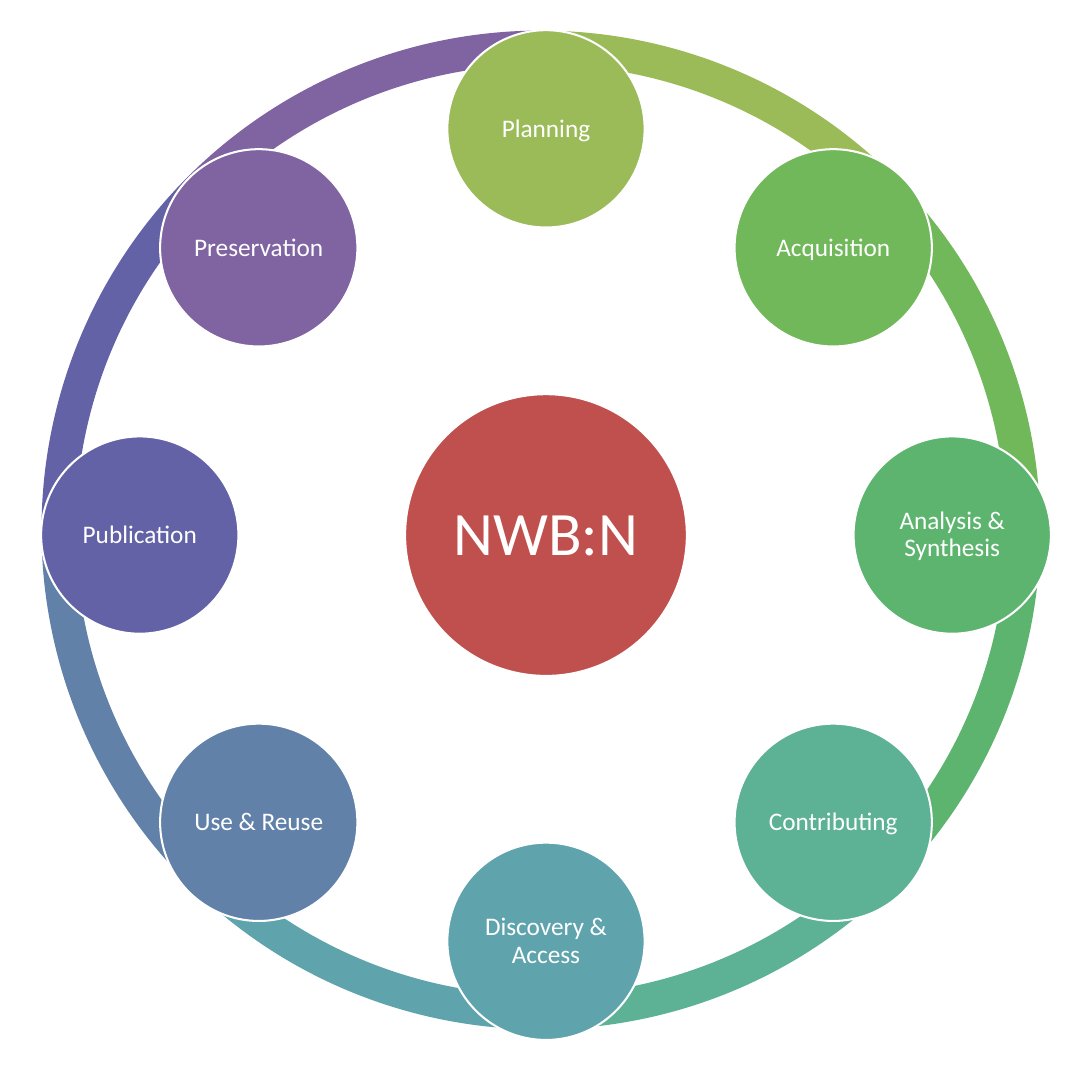
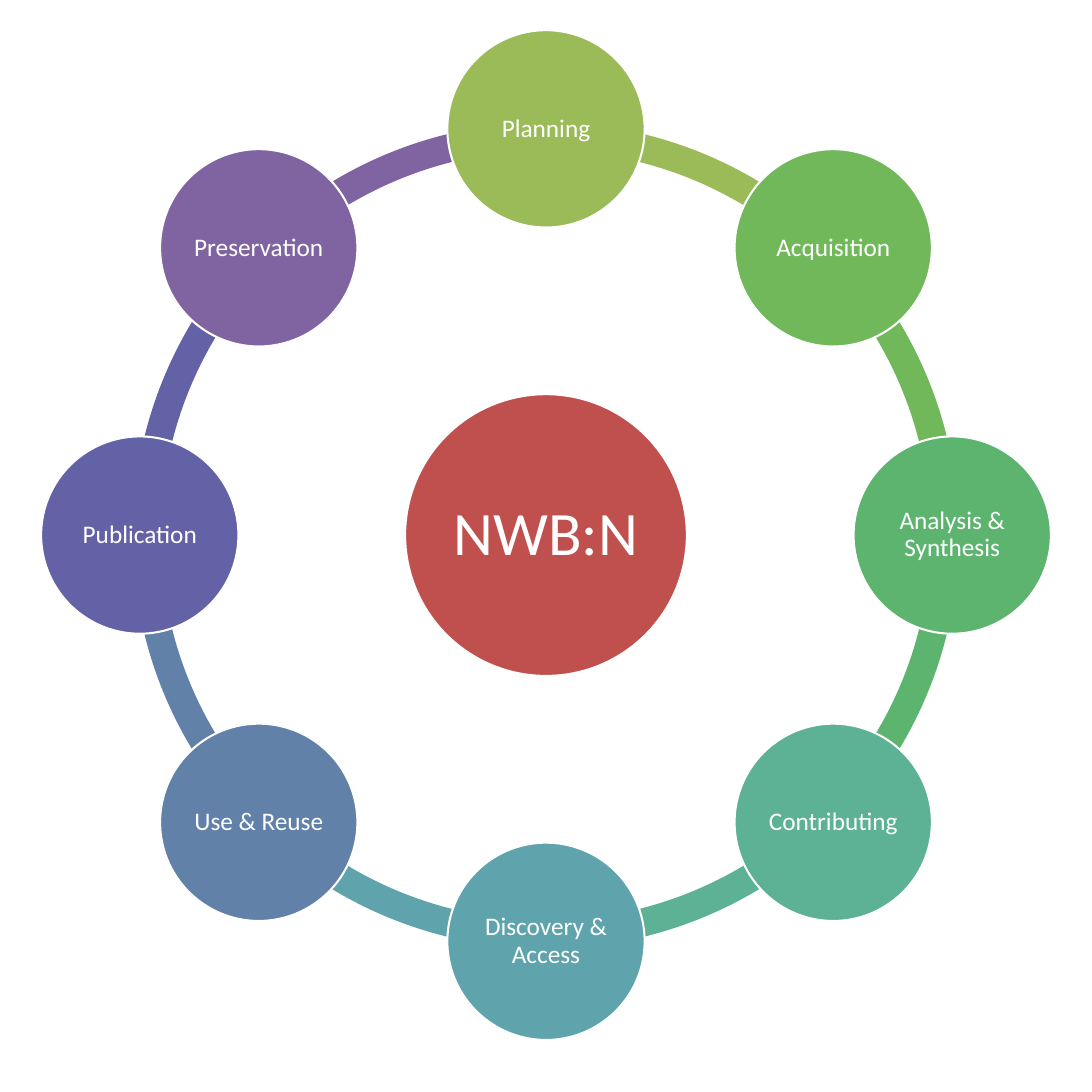
from dataclasses import dataclass
from math import cos, radians, sin

from pptx import Presentation
from pptx.dml.color import RGBColor
from pptx.enum.shapes import MSO_SHAPE
from pptx.enum.text import MSO_ANCHOR, PP_ALIGN
from pptx.shapes.autoshape import Shape
from pptx.shapes.shapetree import GroupShapes, SlideShapes
from pptx.util import Inches, Pt

OVAL, BLOCK_ARC = MSO_SHAPE.OVAL, MSO_SHAPE.BLOCK_ARC
CENTER, MIDDLE = PP_ALIGN.CENTER, MSO_ANCHOR.MIDDLE

Canvas = SlideShapes | GroupShapes


@dataclass(frozen=True)
class Theme:
    font: str = "Calibri"
    text: str = "FFFFFF"
    outline: str = "FFFFFF"
    hub: str = "C0504D"
    hub_size: int = 61
    stage_size: int = 25
    outline_width: int = 2
    line_spacing: float = 0.9


@dataclass(frozen=True)
class Stage:
    name: str
    color: str


@dataclass(frozen=True)
class Ring:
    left: float
    top: float
    size: float
    grouped: bool


THEME = Theme()

# Stages run clockwise from the top
STAGES = [
    Stage("Planning", "9BBB59"),
    Stage("Acquisition", "70B85A"),
    Stage("Analysis & Synthesis", "5CB46F"),
    Stage("Contributing", "5DB195"),
    Stage("Discovery & Access", "5FA4AD"),
    Stage("Use & Reuse", "6181A9"),
    Stage("Publication", "6362A6"),
    Stage("Preservation", "8064A2"),
]

# One ring per slide: outside the stages, then through their centres
RINGS = [
    Ring(0.57, 0.42, 13.72, grouped=False),
    Ring(1.82, 1.68, 11.35, grouped=True),
]

# Cycle geometry, in inches and degrees
CENTER_X, CENTER_Y = 7.5, 7.35
ORBIT = 5.58
STAGE_DIAMETER, HUB_DIAMETER = 2.71, 3.87
STAGE_INSET, HUB_INSET = 0.03, 0.08
STEP = 360 / len(STAGES)
TOP_ANGLE = 270
ARC_THICKNESS = 0.034
ADJ_PER_DEGREE = 0.6  # block arc angles are stored in 1/60000 degree


def add_filled(canvas: Canvas, kind: MSO_SHAPE, left: float, top: float,
               size: float, color: str) -> Shape:
    s = canvas.add_shape(kind, Inches(left), Inches(top), Inches(size), Inches(size))
    s.shadow.inherit = False
    s.fill.solid()
    s.fill.fore_color.rgb = RGBColor.from_string(color)
    s.line.fill.background()
    return s


def write_text(s: Shape, text: str, *, size: int, inset: float) -> None:
    tf = s.text_frame
    tf.word_wrap = True
    tf.vertical_anchor = MIDDLE
    tf.margin_left = tf.margin_right = Inches(inset)
    tf.margin_top = tf.margin_bottom = Inches(inset)
    p = tf.paragraphs[0]
    p.alignment = CENTER
    p.line_spacing = THEME.line_spacing
    r = p.add_run()
    r.text = text
    r.font.name = THEME.font
    r.font.size = Pt(size)
    r.font.color.rgb = RGBColor.from_string(THEME.text)


def add_disc(canvas: Canvas, x: float, y: float, diameter: float, color: str,
             text: str, *, size: int, inset: float) -> None:
    s = add_filled(canvas, OVAL, x - diameter / 2, y - diameter / 2, diameter, color)
    s.line.color.rgb = RGBColor.from_string(THEME.outline)
    s.line.width = Pt(THEME.outline_width)
    write_text(s, text, size=size, inset=inset)


def add_arc(canvas: Canvas, ring: Ring, start: float, color: str) -> None:
    s = add_filled(canvas, BLOCK_ARC, ring.left, ring.top, ring.size, color)
    s.adjustments[0] = start % 360 * ADJ_PER_DEGREE
    s.adjustments[1] = (start + STEP) % 360 * ADJ_PER_DEGREE
    s.adjustments[2] = ARC_THICKNESS


def draw_cycle(canvas: Canvas, ring: Ring) -> None:
    steps = [(TOP_ANGLE + i * STEP, stage) for i, stage in enumerate(STAGES)]

    # Ring segments, the last one lowest
    for angle, stage in reversed(steps):
        add_arc(canvas, ring, angle, stage.color)

    # Hub
    add_disc(canvas, CENTER_X, CENTER_Y, HUB_DIAMETER, THEME.hub, "NWB:N",
             size=THEME.hub_size, inset=HUB_INSET)

    # Stages
    for angle, stage in steps:
        x = CENTER_X + ORBIT * cos(radians(angle))
        y = CENTER_Y + ORBIT * sin(radians(angle))
        add_disc(canvas, x, y, STAGE_DIAMETER, stage.color, stage.name,
                 size=THEME.stage_size, inset=STAGE_INSET)


prs = Presentation()
prs.slide_width = prs.slide_height = Inches(15)
blank = prs.slide_layouts[6]

for ring in RINGS:
    shapes = prs.slides.add_slide(blank).shapes
    draw_cycle(shapes.add_group_shape().shapes if ring.grouped else shapes, ring)

prs.save("out.pptx")
